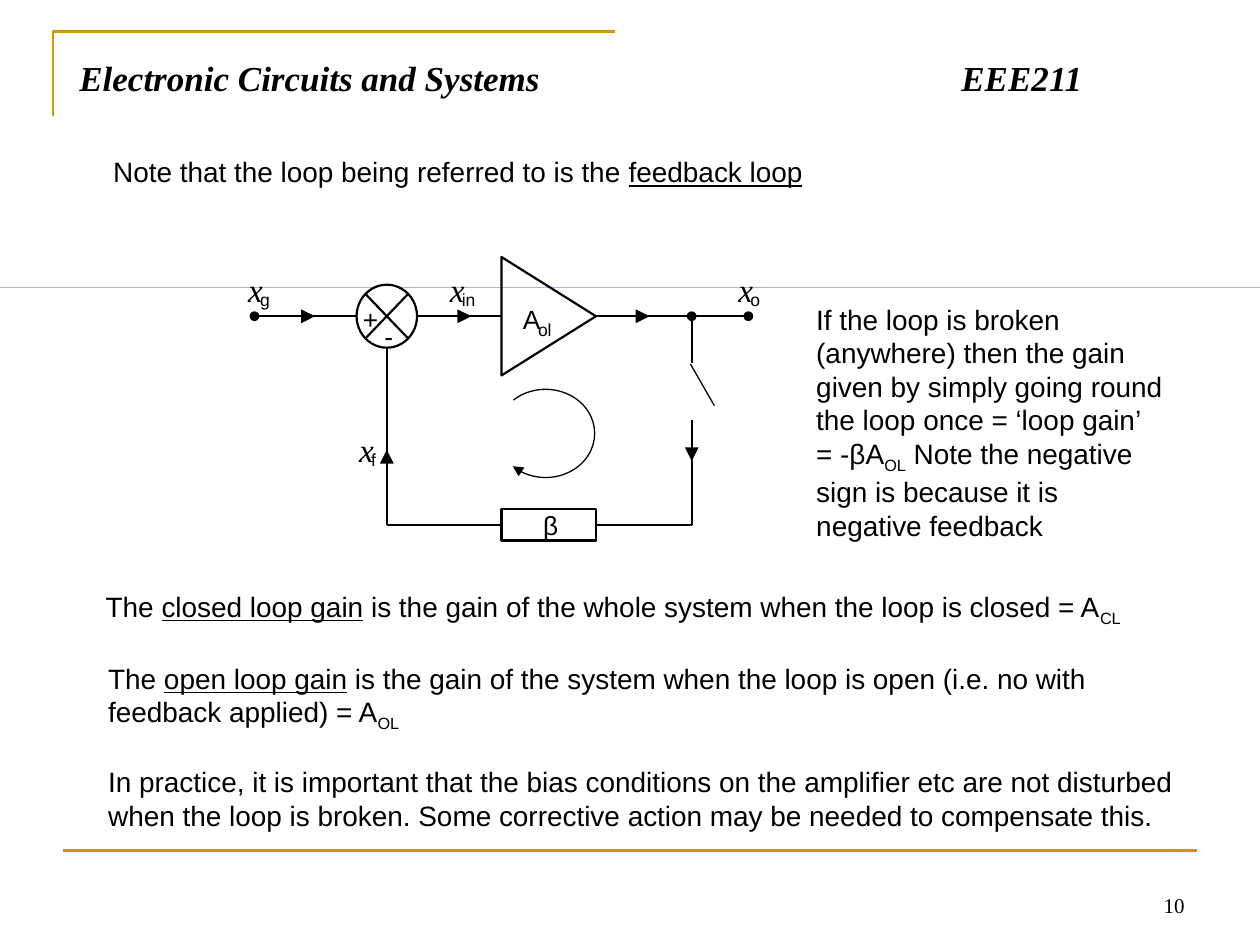
from lxml.etree import SubElement
from pptx import Presentation
from pptx.dml.color import RGBColor
from pptx.enum.shapes import MSO_CONNECTOR as Connector, MSO_SHAPE as Shape
from pptx.enum.text import MSO_ANCHOR as Anchor, MSO_AUTO_SIZE as AutoSize, PP_ALIGN as Align
from pptx.oxml.ns import qn
from pptx.util import Emu, Inches, Pt

WIDTH, HEIGHT = Inches(10), Inches(7.5)
CELL = WIDTH / 100  # the grid has 100 columns and 75 rows
COLOURS = {"ink": "000000", "paper": "FFFFFF", "gold": "CC9900", "rule": "0033CC"}

BODY = {"name": "Arial", "size": Pt(16)}
TITLE = {"name": "Times New Roman", "size": Pt(20), "bold": True, "italic": True}
NUMBER = {"name": "Times New Roman", "size": Pt(12)}
SIGNAL = {"name": "Times New Roman", "size": Pt(19), "italic": True}
SIGN = {"name": "Arial", "size": Pt(15)}
INDEX = {"name": "Arial", "size": Pt(10)}

# Columns and rows of the circuit
INPUT, SUM, AMP_LEFT, AMP_RIGHT, TAP, OUTPUT = 20.2, 30.7, 39.8, 47.3, 54.9, 59.4
FORWARD, RETURN = 25.1, 41.65
SUM_RADIUS, AMP_HALF, ARROW = 2.4, 4.7, 1.1


def cells(*counts):
    return [Emu(round(count * CELL)) for count in counts]


def rgb(name):
    return RGBColor.from_string(COLOURS[name])


def set_all(target, values):
    for name, value in values.items():
        setattr(target, name, value)


def paint(shape, fill=None, line=None, weight=1.25):
    shape.shadow.inherit = False
    if fill:
        shape.fill.solid()
        shape.fill.fore_color.rgb = rgb(fill)
    else:
        shape.fill.background()
    if line:
        shape.line.color.rgb = rgb(line)
        shape.line.width = Pt(weight)
    else:
        shape.line.fill.background()


def add_figure(page, kind, area, **look):
    shape = page.shapes.add_shape(kind, *cells(*area))
    paint(shape, **look)
    return shape


def add_outline(page, points, close, **look):
    points = [tuple(cells(*point)) for point in points]
    builder = page.shapes.build_freeform(*points[0])
    builder.add_line_segments(points[1:], close=close)
    paint(builder.convert_to_shape(), **look)


def add_wire(page, start, end, colour="ink", weight=1.25):
    wire = page.shapes.add_connector(Connector.STRAIGHT, *cells(*start, *end))
    wire.line.color.rgb = rgb(colour)
    wire.line.width = Pt(weight)
    SubElement(wire._element.spPr, qn("a:effectLst"))


def add_arrow(page, centre, turn):
    left, top = (value - ARROW / 2 for value in centre)
    arrow = add_figure(page, Shape.ISOSCELES_TRIANGLE, (left, top, ARROW, ARROW), fill="ink")
    arrow.rotation = turn


def add_node(page, column):
    add_figure(page, Shape.OVAL, (column - 0.3, FORWARD - 0.3, 0.6, 0.6), fill="ink", line="ink")


def write(para, spans, style):
    """Each span is a text, or a pair of a text and 'underline' or 'sub'."""
    for item in spans:
        text, effect = (item, None) if isinstance(item, str) else item
        span = para.add_run()
        span.text = text
        set_all(span.font, style)
        span.font.color.rgb = rgb("ink")
        if effect == "underline":
            span.font.underline = True
        elif effect == "sub":
            span._r.get_or_add_rPr().set("baseline", "-25000")


def add_text(page, area, *spans, style=BODY, align=Align.LEFT, **frame):
    box = page.shapes.add_textbox(*cells(*area))
    set_all(box.text_frame, {"word_wrap": True, **frame})
    para = box.text_frame.paragraphs[0]
    para.alignment = align
    write(para, spans, style)


def add_label(page, text, left, top, width, style):
    height = style["size"].inches * 12
    add_text(page, (left, top, width, height), text, style=style, word_wrap=False,
             auto_size=AutoSize.SHAPE_TO_FIT_TEXT, margin_left=0, margin_right=0,
             margin_top=0, margin_bottom=0)


def add_symbol(page, index, left, top, index_width):
    add_label(page, "x", left, top, 1.2, SIGNAL)
    add_label(page, index, left + 0.95, top + 1.5, index_width, INDEX)


def add_frame(page):
    add_outline(page, [(4.2, 9.2), (4.2, 2.5), (48.8, 2.5)], False, line="gold", weight=1.5)
    add_wire(page, (5, 67.5), (95, 67.5), "gold", 1.5)
    add_figure(page, Shape.RECTANGLE, (0, 22.8, 100, 0), fill="rule")
    add_text(page, (71.7, 68.3, 23.3, 5), "10", style=NUMBER, align=Align.RIGHT,
             vertical_anchor=Anchor.BOTTOM)


def add_title(page):
    title = page.shapes.title
    set_all(title, dict(zip(("left", "top", "width", "height"), cells(5.3, 4, 89.2, 6.1))))
    set_all(title.text_frame, {"vertical_anchor": Anchor.TOP, "auto_size": AutoSize.NONE})
    para = title.text_frame.paragraphs[0]
    para.alignment = Align.LEFT
    stops = SubElement(para._p.get_or_add_pPr(), qn("a:tabLst"))
    SubElement(stops, qn("a:tab"), pos=str(cells(70)[0]), algn="l")
    write(para, ["Electronic Circuits and Systems\tEEE211"], TITLE)


def add_circuit(page):
    wires = [
        ((INPUT, FORWARD), (SUM - SUM_RADIUS, FORWARD)),
        ((SUM + SUM_RADIUS, FORWARD), (AMP_LEFT, FORWARD)),
        ((AMP_RIGHT, FORWARD), (OUTPUT, FORWARD)),
        ((TAP, FORWARD), (TAP, 28.8)),
        ((TAP, 33.3), (TAP, RETURN)),
        ((TAP, RETURN), (AMP_RIGHT, RETURN)),
        ((AMP_LEFT, RETURN), (SUM, RETURN)),
        ((SUM, RETURN), (SUM, FORWARD + 2.5)),
    ]
    for start, end in wires:
        add_wire(page, start, end)
    add_wire(page, (54.8, 28.9), (56.7, 32.2), weight=0.75)  # open switch

    add_figure(page, Shape.FLOWCHART_SUMMING_JUNCTION,
               (SUM - SUM_RADIUS, FORWARD - 2.5, 2 * SUM_RADIUS, 5), fill="paper", line="ink")
    add_outline(page, [(AMP_LEFT, FORWARD - AMP_HALF), (AMP_RIGHT, FORWARD),
                       (AMP_LEFT, FORWARD + AMP_HALF)], True, line="ink")
    add_figure(page, Shape.RECTANGLE, (AMP_LEFT, 40.4, AMP_RIGHT - AMP_LEFT, 2.5), line="ink")

    for column in (INPUT, TAP, OUTPUT):
        add_node(page, column)
    for column in (24.45, 36.85, 51):
        add_arrow(page, (column, FORWARD), 90)
    add_arrow(page, (SUM, 36.25), 0)
    add_arrow(page, (TAP, 36.05), 180)

    loop = add_figure(page, Shape.ARC, (39.4, 30.9, 7.8, 7), line="ink", weight=0.75)
    for place, degrees in enumerate((226, 135)):
        loop.adjustments[place] = degrees * 0.6
    SubElement(loop.line._get_or_add_ln(), qn("a:tailEnd"), type="triangle")

    for index, left, top, width in (("g", 19.7, 21.4, 0.8), ("in", 35.7, 21.4, 1.1),
                                    ("o", 58.6, 21.4, 0.8), ("f", 28.5, 34.1, 0.4)):
        add_symbol(page, index, left, top, width)
    for text, left, top, width in (("A", 41.5, 24.1, 1.4), ("β", 43.1, 40.4, 1.1),
                                   ("+", 28.8, 24.1, 1.2), ("-", 30.5, 25.4, 0.7)):
        add_label(page, text, left, top, width, SIGN)
    add_label(page, "ol", 42.7, 25.3, 1.1, INDEX)


def add_notes_on_gain(page):
    add_text(page, (8, 11.8, 73.9, 3.7), "Note that the loop being referred to is the ",
             ("feedback loop", "underline"))
    add_text(page, (63.8, 23.5, 29.6, 19.7),
             "If the loop is broken (anywhere) then the gain given by simply going round "
             "the loop once = ‘loop gain’ = -βA", ("OL", "sub"),
             " Note the negative sign is because it is negative feedback")
    add_text(page, (7.4, 46.3, 87, 3.7), "The ", ("closed loop gain", "underline"),
             " is the gain of the whole system when the loop is closed = A", ("CL", "sub"))
    add_text(page, (7.6, 52, 87, 6.4), "The ", ("open loop gain", "underline"),
             " is the gain of the system when the loop is open (i.e. no with "
             "feedback applied) = A", ("OL", "sub"))
    add_text(page, (7.6, 60.2, 88.2, 6.4),
             "In practice, it is important that the bias conditions on the amplifier etc are "
             "not disturbed when the loop is broken. Some corrective action may be needed to "
             "compensate this.")


def main():
    deck = Presentation()
    set_all(deck, {"slide_width": WIDTH, "slide_height": HEIGHT})
    page = deck.slides.add_slide(deck.slide_layouts.get_by_name("Title Only"))
    add_frame(page)
    add_title(page)
    add_circuit(page)
    add_notes_on_gain(page)
    deck.save("out.pptx")


if __name__ == "__main__":
    main()
